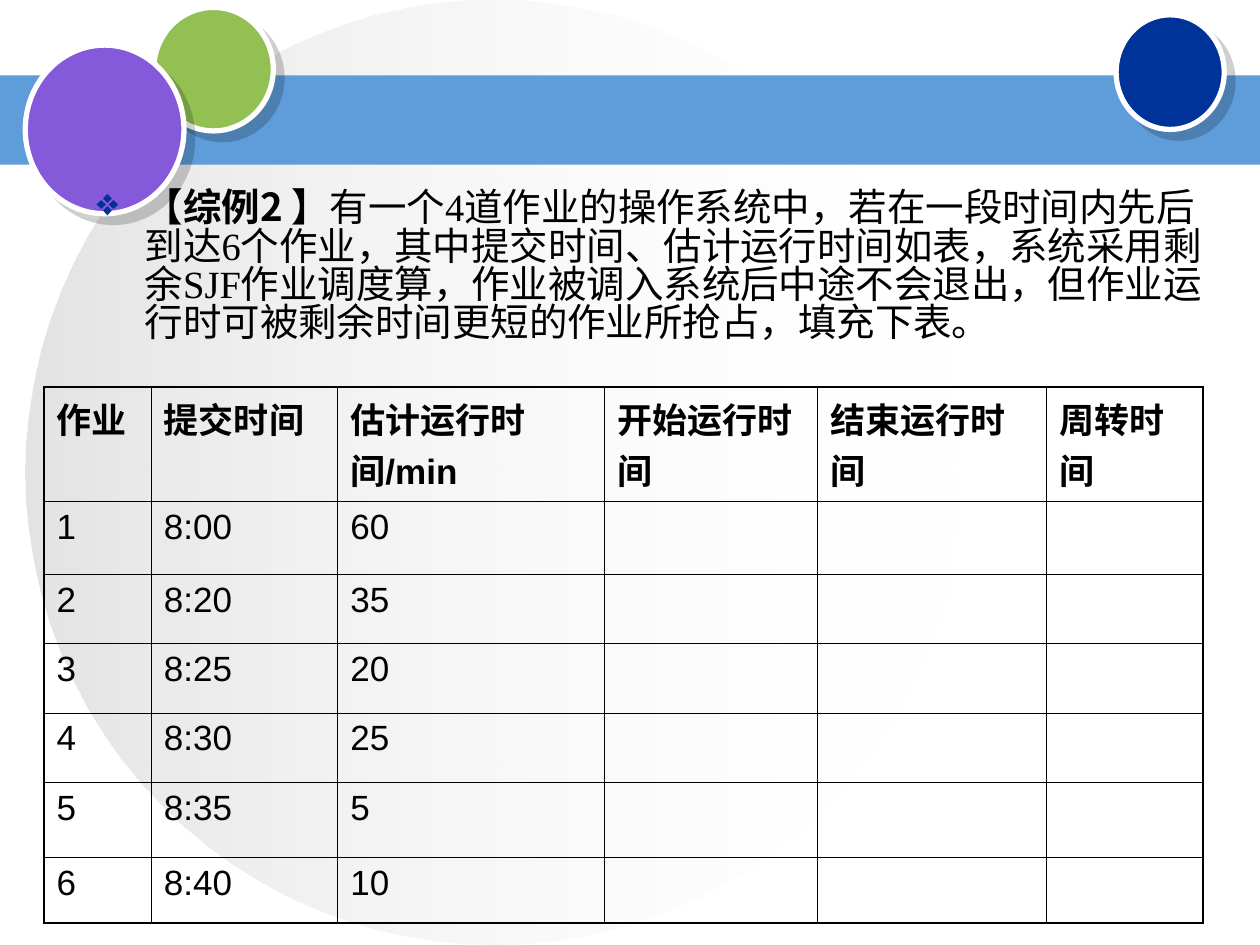
import pptx
import pptx.dml.color
import pptx.enum.shapes
import pptx.oxml
import pptx.oxml.ns
import pptx.util
from pptx.util import Cm

RGBColor = pptx.dml.color.RGBColor
WHITE = RGBColor(0xFF, 0xFF, 0xFF)
BLACK = RGBColor(0, 0, 0)
PALE = RGBColor(0xFE, 0xFE, 0xFE)
SILVER = RGBColor(0xC0, 0xC0, 0xC0)
BLUE = RGBColor(0x5E, 0x9C, 0xDA)
GREEN = RGBColor(0x93, 0xC0, 0x52)
NAVY = RGBColor(0x00, 0x33, 0x99)
PURPLE = RGBColor(0x85, 0x5A, 0xDA)

OVAL = pptx.enum.shapes.MSO_SHAPE.OVAL
RECTANGLE = pptx.enum.shapes.MSO_SHAPE.RECTANGLE
CJK_FONT = "Noto Sans CJK SC"

QUESTION = [
    ("【综例2 】", CJK_FONT, CJK_FONT, True),
    ("有", "Noto Sans CJK JP", "Noto Sans CJK JP", False),
    ("一个4道作业的操作系统中，若在一段时间内先后到达6个作业，其中提交时间、"
     "估计运行时间如表，系统采用剩余SJF作业调度算，作业被调入系统后中途不会退出，"
     "但作业运行时可被剩余时间更短的作业所抢占，填充下表。",
     "Times New Roman", CJK_FONT, False),
]
HEADINGS = ["作业", "提交时间", "估计运行时间/min", "开始运行时间", "结束运行时间", "周转时间"]
JOBS = [("8:00", 60), ("8:20", 35), ("8:25", 20), ("8:30", 25), ("8:35", 5), ("8:40", 10)]
COLUMN_WIDTHS = [2.16, 3.76, 5.38, 4.29, 4.62, 3.15]
ROW_HEIGHTS = [2.01, 1.47, 1.4, 1.4, 1.4, 1.52, 1.32]


def add_xml(parent, tag, **attributes):
    child = pptx.oxml.parse_xml(f"<{tag} {pptx.oxml.ns.nsdecls('a')}/>")
    for name, value in attributes.items():
        child.set(name, str(value))
    parent.append(child)
    return child


def add_plain_shape(page, kind, box, color=None):
    shape = page.shapes.add_shape(kind, *map(Cm, box))
    shape.shadow.inherit = False
    shape.line.fill.background()
    if color is not None:
        shape.fill.solid()
        shape.fill.fore_color.rgb = color
    return shape


def style_span(span, size, latin, east_asian, bold):
    span.font.size = pptx.util.Pt(size)
    span.font.bold = bold
    span.font.color.rgb = BLACK
    span.font.name = latin
    add_xml(span.font._element, "a:ea", typeface=east_asian)


def add_backdrop(page, box):
    disc = add_plain_shape(page, OVAL, box)
    disc.fill.gradient()
    disc.fill.gradient_angle = 180
    for stop, color, position in zip(disc.fill.gradient_stops, (PALE, SILVER), (0, 1)):
        stop.color.rgb = color
        stop.position = position
    gradient_colors = disc._element.spPr.iter(pptx.oxml.ns.qn("a:srgbClr"))
    for color, opacity in zip(list(gradient_colors), (0, 44000)):
        add_xml(color, "a:alpha", val=opacity)


def add_circle(page, box, color):
    circle = add_plain_shape(page, OVAL, box, color)
    circle.line.color.rgb = WHITE
    circle.line.width = pptx.util.Pt(3)
    effects = circle._element.spPr.find(pptx.oxml.ns.qn("a:effectLst"))
    shadow = add_xml(effects, "a:outerShdw", blurRad=0, dist=pptx.util.Pt(7.1),
                     dir=45 * 60000, algn="ctr", rotWithShape=0)
    add_xml(add_xml(shadow, "a:srgbClr", val=BLACK), "a:alpha", val=19000)


def add_header(page, box):
    left, top, width, height = box
    add_plain_shape(page, RECTANGLE, box, BLUE)
    # Circles, offset from the corner of the band
    for x, y, w, h, color in [(3.1, -1.37, 2.41, 2.49, GREEN),
                              (22.5, -1.22, 2.18, 2.31, NAVY),
                              (0.51, -0.61, 3.2, 3.4, PURPLE)]:
        add_circle(page, (left + x, top + y, w, h), color)


def set_borders(cell, widths):
    properties = cell._tc.get_or_add_tcPr()
    for position, (side, width) in enumerate(zip("LRTB", widths)):
        line = add_xml(properties, f"a:ln{side}", w=pptx.util.Pt(width))
        add_xml(add_xml(line, "a:solidFill"), "a:srgbClr", val=BLACK)
        properties.insert(position, line)


def add_job_table(page, box):
    rows = [HEADINGS] + [[str(number), submitted, str(minutes), "", "", ""]
                         for number, (submitted, minutes) in enumerate(JOBS, 1)]
    last_row, last_column = len(rows) - 1, len(HEADINGS) - 1
    table = page.shapes.add_table(len(rows), len(HEADINGS), *map(Cm, box)).table
    table.horz_banding = False
    table.first_row = False
    for column, width in zip(table.columns, COLUMN_WIDTHS):
        column.width = Cm(width)
    for row, height in zip(table.rows, ROW_HEIGHTS):
        row.height = Cm(height)

    for i, texts in enumerate(rows):
        for j, text in enumerate(texts):
            cell = table.cell(i, j)
            cell.fill.background()
            outer_sides = (j == 0, j == last_column, i == 0, i == last_row)
            set_borders(cell, [1.08 if outer else 0.45 for outer in outer_sides])
            if text:
                para = cell.text_frame.paragraphs[0]
                para.text = text
                para.space_before = pptx.util.Pt(5)
                style_span(para.runs[0], 20, "Arial", CJK_FONT, i == 0)


def add_question(page, box):
    frame = page.shapes.add_textbox(*map(Cm, box)).text_frame
    frame.word_wrap = True
    para = frame.paragraphs[0]
    para.space_before = pptx.util.Pt(5.5)
    para.line_spacing = 0.83
    # Hanging bullet
    properties = para._p.get_or_add_pPr()
    properties.set("marL", str(Cm(0.97)))
    properties.set("indent", str(Cm(-0.97)))
    add_xml(add_xml(properties, "a:buClr"), "a:srgbClr", val=NAVY)
    add_xml(properties, "a:buChar", char="❖")
    for text, latin, east_asian, bold in QUESTION:
        span = para.add_run()
        span.text = text
        style_span(span, 22, latin, east_asian, bold)


def main():
    deck = pptx.Presentation()
    deck.slide_width, deck.slide_height = Cm(25.4), Cm(19.05)
    page = deck.slides.add_slide(deck.slide_layouts[6])
    add_backdrop(page, (0.51, 0, 18.9, 19.05))
    add_header(page, (0, 1.52, 25.4, 1.8))
    add_job_table(page, (0.89, 7.8, 23.36, 10.52))
    add_question(page, (1.7, 3.73, 23.01, 4.39))
    deck.save("out.pptx")


if __name__ == "__main__":
    main()
